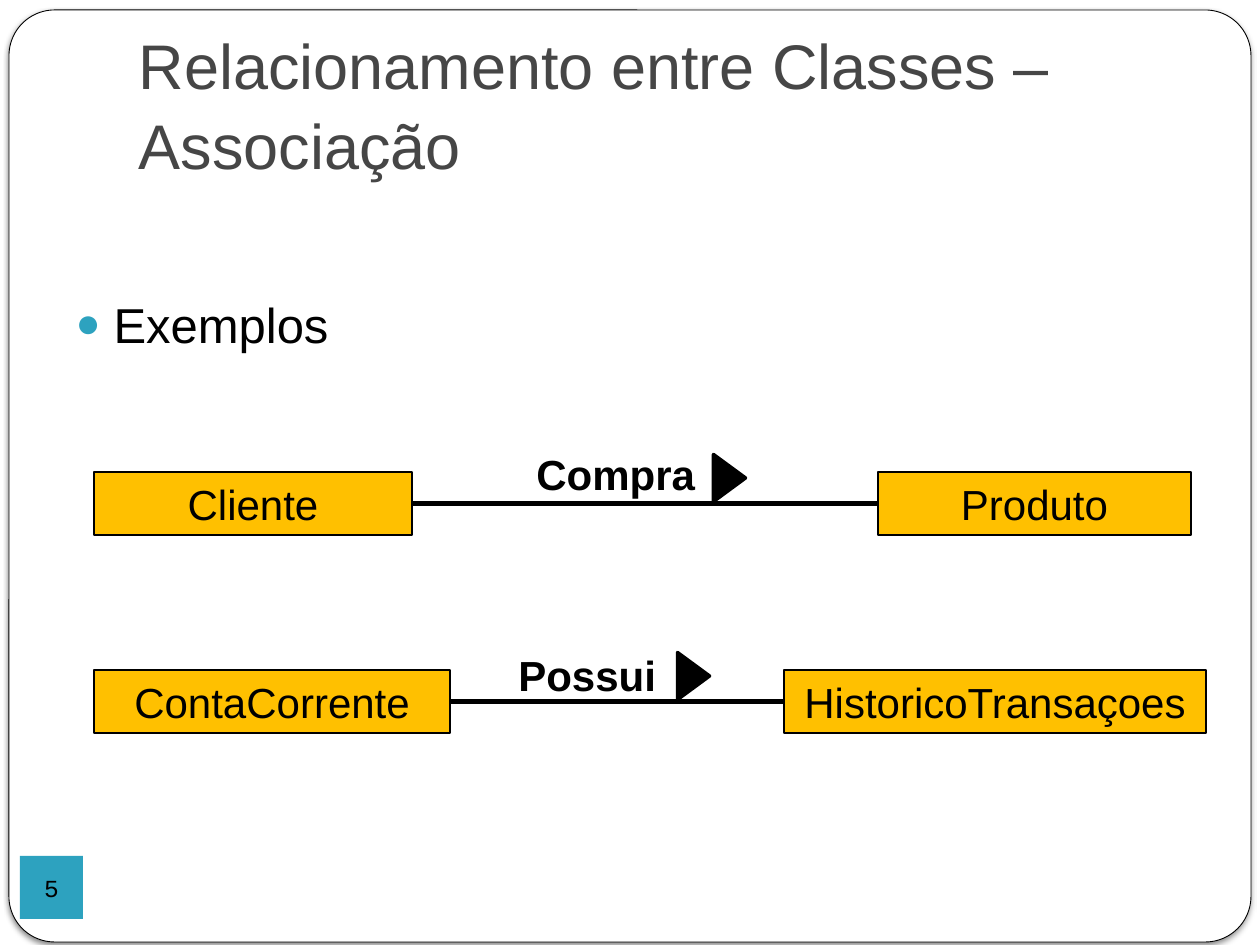
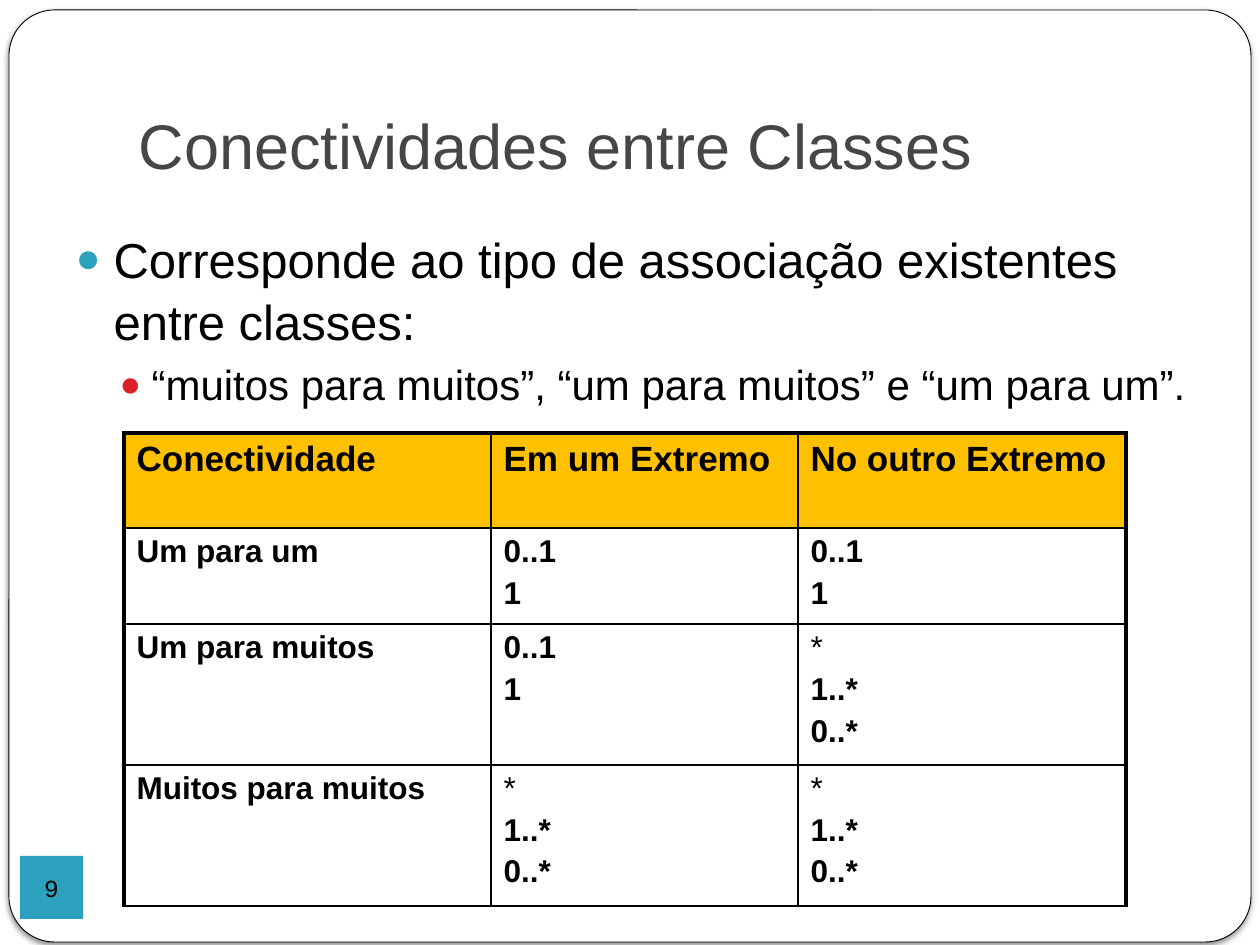
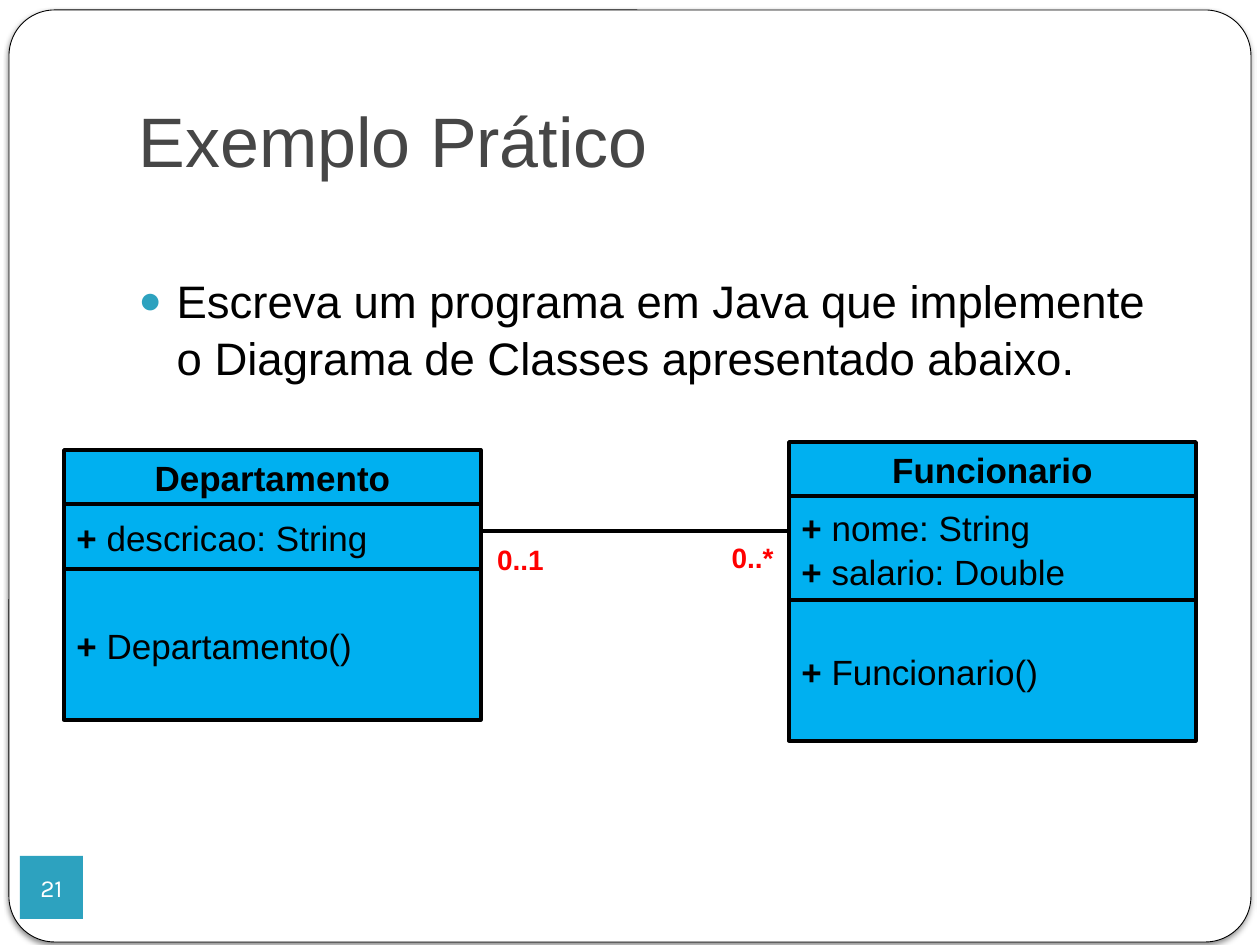
from lxml import etree
from pptx import Presentation
from pptx.dml.color import RGBColor
from pptx.enum.shapes import MSO_CONNECTOR, MSO_SHAPE
from pptx.enum.text import MSO_ANCHOR, MSO_AUTO_SIZE, PP_ALIGN
from pptx.oxml.ns import qn
from pptx.util import Pt

EMU_PER_PX = 914400 / 126

# Palette and type
BLACK = RGBColor(0x00, 0x00, 0x00)
WHITE = RGBColor(0xFF, 0xFF, 0xFF)
TITLE_GRAY = RGBColor(0x46, 0x46, 0x46)
TEAL = RGBColor(0x2D, 0xA2, 0xBF)
BULLET_RED = RGBColor(0xDA, 0x1F, 0x28)
AMBER = RGBColor(0xFF, 0xC0, 0x00)
CLASS_BLUE = RGBColor(0x00, 0xB0, 0xF0)
RED = RGBColor(0xFF, 0x00, 0x00)
FONT = "Arial"
LINE_SPACING = 1.05

# Enum members
RECTANGLE = MSO_SHAPE.RECTANGLE
ROUNDED = MSO_SHAPE.ROUNDED_RECTANGLE
TRIANGLE = MSO_SHAPE.ISOSCELES_TRIANGLE
STRAIGHT = MSO_CONNECTOR.STRAIGHT
LEFT, CENTER = PP_ALIGN.LEFT, PP_ALIGN.CENTER
MIDDLE, TOP, BOTTOM = MSO_ANCHOR.MIDDLE, MSO_ANCHOR.TOP, MSO_ANCHOR.BOTTOM
NO_AUTOFIT = MSO_AUTO_SIZE.NONE

# Bullet levels: left margin and hanging indent in px, colour
BULLET_LEVELS = [(38, 38, TEAL), (76, 32, BULLET_RED)]

THIN, THICK = 0.96, 2.21


def px(length):
    return round(length * EMU_PER_PX)


def box_px(*lengths):
    return [px(length) for length in lengths]


def place(shape, box):
    shape.left, shape.top, shape.width, shape.height = box_px(*box)


def add_xml(parent, tag, **attributes):
    return etree.SubElement(parent, qn(tag), attributes)


def style(paragraph, size, color=BLACK, bold=False, align=LEFT, font=FONT):
    paragraph.alignment = align
    for run in paragraph.runs:
        run.font.name = font
        run.font.size = Pt(size)
        run.font.bold = bold
        run.font.color.rgb = color


# Elements shared by all slides
def add_frame(slide):
    frame = add_block(slide.shapes, ROUNDED, (9, 10, 1242, 932), WHITE, 0.5)
    frame.adjustments[0] = 0.049
    effects = frame._element.spPr.find(qn("a:effectLst"))
    shadow = add_xml(effects, "a:outerShdw", blurRad=str(Pt(3)),
                     dist=str(Pt(2)), dir="5400000", rotWithShape="0")
    color = add_xml(shadow, "a:srgbClr", val=str(BLACK))
    add_xml(color, "a:alpha", val="50000")
    slide.shapes._spTree.insert(2, frame._element)


def add_page_number(slide, number, font="Courier New", color=BLACK):
    tile = add_block(slide.shapes, RECTANGLE, (20, 856, 63, 63), TEAL)
    frame = tile.text_frame
    frame.margin_left = frame.margin_right = 0
    frame.margin_top = frame.margin_bottom = 0
    frame.text = str(number)
    style(frame.paragraphs[0], 14, color, align=CENTER, font=font)


def set_title(slide, text, size=36, width=1071):
    title = slide.shapes.title
    place(title, (126, 38, width, 157))
    frame = title.text_frame
    frame.text = text
    frame.auto_size = NO_AUTOFIT
    frame.vertical_anchor = BOTTOM
    frame.margin_bottom = px(13)
    frame.paragraphs[0].line_spacing = LINE_SPACING
    style(frame.paragraphs[0], size, TITLE_GRAY)


def add_bullet(paragraph, level):
    margin, hanging, color = BULLET_LEVELS[level]
    paragraph.level = level
    properties = paragraph._p.get_or_add_pPr()
    properties.set("marL", str(px(margin)))
    properties.set("indent", str(-px(hanging)))
    add_xml(add_xml(properties, "a:buClr"), "a:srgbClr", val=str(color))
    add_xml(properties, "a:buSzPct", val="85000")
    add_xml(properties, "a:buFont", typeface=FONT)
    add_xml(properties, "a:buChar", char="●")


def set_list(slide, box, items):
    """Fill the body with (text, level, size) items."""
    body = slide.placeholders[1]
    place(body, box)
    frame = body.text_frame
    frame.text = "\n".join(text for text, _, _ in items)
    frame.auto_size = NO_AUTOFIT
    frame.vertical_anchor = TOP
    for paragraph, (_, level, size) in zip(frame.paragraphs, items):
        paragraph.line_spacing = LINE_SPACING
        paragraph.space_before = Pt(3.8 if level else 5.8)
        style(paragraph, size)
        add_bullet(paragraph, level)


def start_slide(deck, title, **title_format):
    slide = deck.slides.add_slide(deck.slide_layouts[1])
    add_frame(slide)
    set_title(slide, title, **title_format)
    return slide


# Diagram elements
def add_block(shapes, kind, box, fill, line_width=None):
    block = shapes.add_shape(kind, *box_px(*box))
    block.shadow.inherit = False
    block.fill.solid()
    block.fill.fore_color.rgb = fill
    if line_width:
        block.line.color.rgb = BLACK
        block.line.width = Pt(line_width)
    else:
        block.line.fill.background()
    block.text_frame.word_wrap = True
    block.text_frame.vertical_anchor = MIDDLE
    return block


def add_label(slide, text, box, size, color=BLACK, align=LEFT, wrap=False):
    label = slide.shapes.add_textbox(*box_px(*box))
    label.text_frame.word_wrap = wrap
    label.text_frame.text = text
    style(label.text_frame.paragraphs[0], size, color, True, align)


def add_association_line(slide, start, end):
    line = slide.shapes.add_connector(STRAIGHT, *box_px(*start, *end))
    line.line.color.rgb = BLACK
    line.line.width = Pt(2.75)
    add_xml(line._element.spPr, "a:effectLst")
    return line


def add_entity(slide, name, left, top, width):
    entity = add_block(slide.shapes, RECTANGLE, (left, top, width, 63),
                       AMBER, 0.75)
    entity.text_frame.text = name
    style(entity.text_frame.paragraphs[0], 24, align=CENTER)
    return entity


def add_association(slide, top, source, target, verb, verb_box, arrow_at):
    """Two (name, left, width) entities joined by a named line."""
    source_box, target_box = (
        add_entity(slide, name, left, top, width)
        for name, left, width in (source, target))
    line = add_association_line(slide, (0, top), (1, top))
    line.begin_connect(source_box, 3)
    line.end_connect(target_box, 1)
    add_label(slide, verb, verb_box, 24)
    arrow = add_block(slide.shapes, TRIANGLE, (*arrow_at, 47, 32), BLACK, 2)
    arrow.rotation = 90


def write_members(frame, members):
    for index, member in enumerate(members):
        paragraph = frame.paragraphs[0] if index == 0 else frame.add_paragraph()
        paragraph.line_spacing = LINE_SPACING
        for part in ("+ ", member):
            paragraph.add_run().text = part
        style(paragraph, 20)
        paragraph.runs[0].font.bold = True


def add_class(slide, left, top, width, name, attributes, methods, heights):
    """Stack name, attributes and methods compartments."""
    compartments = slide.shapes.add_group_shape().shapes
    for members, height in zip((None, attributes, methods), heights):
        block = add_block(compartments, RECTANGLE, (left, top, width, height),
                          CLASS_BLUE, 2)
        if members:
            write_members(block.text_frame, members)
        else:
            block.text_frame.text = name
            style(block.text_frame.paragraphs[0], 20, bold=True, align=CENTER)
        top += height


# Table
def set_borders(cell, widths):
    properties = cell._tc.get_or_add_tcPr()
    for side, width in zip("LRTB", widths):
        line = add_xml(properties, f"a:ln{side}", w=str(Pt(width)))
        add_xml(add_xml(line, "a:solidFill"), "a:srgbClr", val=str(BLACK))


def add_connectivity_table(slide, left, top, columns, heights, rows):
    table = slide.shapes.add_table(
        len(rows), len(columns),
        *box_px(left, top, sum(columns), sum(heights))).table
    table.horz_banding = False
    for column, width in zip(table.columns, columns):
        column.width = px(width)
    for row, height in zip(table.rows, heights):
        row.height = px(height)
    for r, row in enumerate(rows):
        for c, text in enumerate(row):
            cell = table.cell(r, c)
            set_borders(cell, (THICK if c == 0 else THIN,
                               THICK if c == len(columns) - 1 else THIN,
                               THICK if r == 0 else THIN, THIN))
            cell.fill.solid()
            cell.fill.fore_color.rgb = WHITE if r else AMBER
            cell.text_frame.text = text
            for paragraph in cell.text_frame.paragraphs:
                paragraph.space_before = Pt(3.6 if r else 4)
                style(paragraph, 18 if r else 20, bold=paragraph.text != "*")


# Slides
def build_association_slide(deck):
    slide = start_slide(deck, "Relacionamento entre Classes – Associação")
    set_list(slide, (63, 285, 1172, 559), [("Exemplos", 0, 28)])
    add_association(slide, 472, ("Cliente", 94, 318), ("Produto", 878, 313),
                    "Compra", (524, 442, 184, 63), (706, 462))
    add_association(slide, 670, ("ContaCorrente", 94, 356),
                    ("HistoricoTransaçoes", 784, 422),
                    "Possui", (506, 643, 163, 63), (670, 660))
    add_page_number(slide, 5)


def build_connectivity_slide(deck):
    slide = start_slide(deck, "Conectividades entre Classes", width=1109)
    set_list(slide, (63, 220, 1172, 624), [
        ("Corresponde ao tipo de associação existentes entre classes:", 0, 28),
        ("“muitos para muitos”, “um para muitos” e “um para um”.", 1, 24),
    ])
    one, many = "0..1\n1", "*\n1..*\n0..*"
    add_connectivity_table(
        slide, 124, 433, (367, 307, 328), (95, 96, 141, 141), [
            ("Conectividade", "Em um Extremo", "No outro Extremo"),
            ("Um para um", one, one),
            ("Um para muitos", one, many),
            ("Muitos para muitos", many, many),
        ])
    add_page_number(slide, 9)


def build_exercise_slide(deck):
    slide = start_slide(deck, "Exemplo Prático", size=40)
    set_list(slide, (126, 264, 1071, 565), [
        ("Escreva um programa em Java que implemente o Diagrama de Classes "
         "apresentado abaixo.", 0, 26)])
    add_page_number(slide, 21, "Karla", WHITE)
    add_class(slide, 64, 450, 417, "Departamento", ["descricao: String"],
              ["Departamento()"], (54, 65, 151))
    add_class(slide, 789, 442, 407, "Funcionario",
              ["nome: String", "salario: Double"], ["Funcionario()"],
              (54, 104, 141))
    add_association_line(slide, (789, 531), (481, 531))
    add_label(slide, "0..1", (481, 536, 79, 45), 16, RED, CENTER, wrap=True)
    add_label(slide, "0..*", (716, 534, 73, 45), 16, RED, CENTER, wrap=True)


def main():
    deck = Presentation()
    deck.slide_width, deck.slide_height = box_px(1260, 945)
    build_association_slide(deck)
    build_connectivity_slide(deck)
    build_exercise_slide(deck)
    deck.save("out.pptx")


if __name__ == "__main__":
    main()
